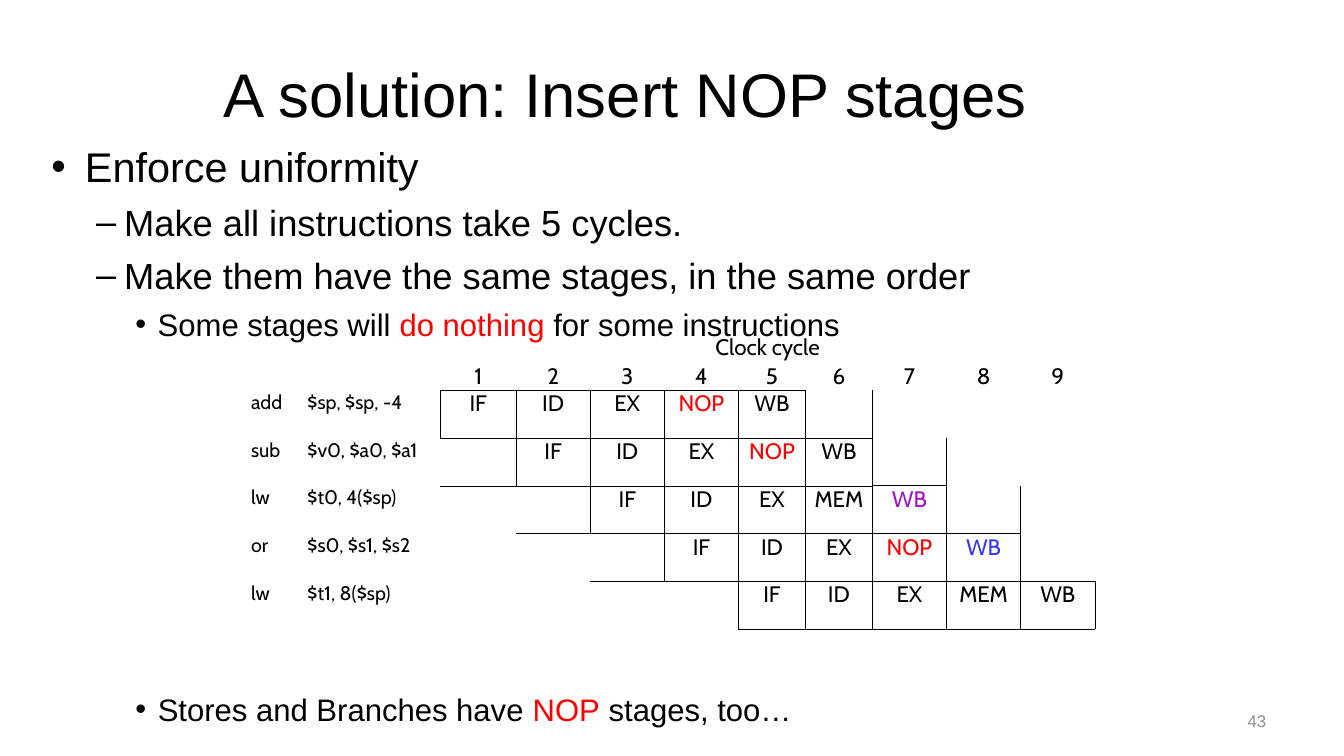
from lxml.etree import SubElement
from pptx import Presentation
from pptx.dml.color import RGBColor
from pptx.enum.text import MSO_ANCHOR, PP_ALIGN
from pptx.oxml.ns import qn
from pptx.util import Pt

COLORS = {"black": "000000", "red": "FF0000", "purple": "9E0FCC",
          "blue": "3333FF", "gray": "8C8C8C"}
NO_GRID_STYLE = "{2D5ABB26-0587-4C30-8999-92F81FD0307C}"
SIDES = {"L": (0, -1), "R": (0, 1), "T": (-1, 0), "B": (1, 0)}
LEVELS = [(24, 24, "•", 29.6), (52, 20, "–", 25.9), (76, 16, "•", 22.2)]
HEADER_ROWS = 2
STAGE_COUNT = 5
COLUMN_WIDTHS = [141.8, 54, 53, 53, 53, 47.8, 47.8, 53, 53, 53]
ROW_HEIGHTS = [21, 19.6] + [34.1] * 5
INSTRUCTIONS = [
    ("add\t$sp, $sp, -4", "NOP", "black"),
    ("sub\t$v0, $a0, $a1", "NOP", "black"),
    ("lw\t$t0, 4($sp)", "MEM", "purple"),
    ("or\t$s0, $s1, $s2", "NOP", "blue"),
    ("lw\t$t1, 8($sp)", "MEM", "black"),
]


def add_text(paragraph, text, size=16, color="black", font="Arial"):
    run = paragraph.add_run()
    run.text = text
    run.font.size = Pt(size)
    run.font.name = font
    run.font.color.rgb = RGBColor.from_string(COLORS[color])


def add_tab_stop(paragraph, position):
    tab_list = SubElement(paragraph._p.get_or_add_pPr(), qn("a:tabLst"))
    SubElement(tab_list, qn("a:tab"), pos=str(Pt(position)), algn="l")


def is_stage(row, column):
    first = row - HEADER_ROWS + 1
    return row >= HEADER_ROWS and first <= column < first + STAGE_COUNT


def add_borders(cell, row, column):
    properties = cell._tc.get_or_add_tcPr()
    for side, (down, right) in SIDES.items():
        if not (is_stage(row, column) or is_stage(row + down, column + right)):
            continue
        lower_row = row + 1 if side == "B" else row
        last_column = lower_row - HEADER_ROWS + STAGE_COUNT
        step = side in "TB" and column == last_column and lower_row > HEADER_ROWS
        line = SubElement(properties, qn(f"a:ln{side}"), w=str(Pt(1 if step else 0.5)))
        fill = SubElement(line, qn("a:solidFill"))
        SubElement(fill, qn("a:srgbClr"), val=COLORS["black"])


class SlideBuilder:
    """Places styled text, bullets and the pipeline table on a slide."""

    def __init__(self, slide):
        self.slide = slide
        self.table_font = "Cabin"

    def text_frame(self, left, top, width, height, anchor=MSO_ANCHOR.TOP):
        frame = self.slide.shapes.add_textbox(
            Pt(left), Pt(top), Pt(width), Pt(height)).text_frame
        frame.word_wrap = True
        frame.vertical_anchor = anchor
        frame.margin_left = frame.margin_right = Pt(0)
        frame.margin_top = frame.margin_bottom = Pt(0)
        return frame

    def label(self, text, left, top, width, height, alignment, **style):
        frame = self.text_frame(left, top, width, height, MSO_ANCHOR.MIDDLE)
        paragraph = frame.paragraphs[0]
        paragraph.alignment = alignment
        add_text(paragraph, text, **style)

    def bullets(self, items, left, top, width, height):
        frame = self.text_frame(left, top, width, height)
        for index, (level, parts) in enumerate(items):
            paragraph = frame.add_paragraph() if index else frame.paragraphs[0]
            margin, hanging, symbol, size = LEVELS[level]
            paragraph.level = level
            paragraph.space_before = Pt(6.5 if index else 0)
            properties = paragraph._p.get_or_add_pPr()
            properties.set("marL", str(Pt(margin)))
            properties.set("indent", str(Pt(-hanging)))
            SubElement(properties, qn("a:buFont"), typeface="Arial")
            SubElement(properties, qn("a:buChar"), char=symbol)
            for text, color in parts:
                add_text(paragraph, text, size=size, color=color)

    def cell_text(self, cell, text, size=16, color="black",
                  alignment=PP_ALIGN.CENTER):
        paragraph = cell.text_frame.paragraphs[0]
        paragraph.alignment = alignment
        if "\t" in text:
            add_tab_stop(paragraph, 40.32)
        add_text(paragraph, text, size=size, color=color, font=self.table_font)

    def pipeline(self, left, top):
        graphic_frame = self.slide.shapes.add_table(
            len(ROW_HEIGHTS), len(COLUMN_WIDTHS), Pt(left), Pt(top),
            Pt(sum(COLUMN_WIDTHS)), Pt(sum(ROW_HEIGHTS)))
        table = graphic_frame.table
        table.first_row = table.horz_banding = False
        table._tbl.tblPr.find(qn("a:tableStyleId")).text = NO_GRID_STYLE
        for column, width in zip(table.columns, COLUMN_WIDTHS):
            column.width = Pt(width)
        for row, height in zip(table.rows, ROW_HEIGHTS):
            row.height = Pt(height)
        table.cell(0, 1).merge(table.cell(0, len(COLUMN_WIDTHS) - 1))

        self.cell_text(table.cell(0, 1), "Clock cycle")
        for cycle in range(1, len(COLUMN_WIDTHS)):
            self.cell_text(table.cell(1, cycle), str(cycle))
        for index, (code, memory, write_color) in enumerate(INSTRUCTIONS):
            row = index + HEADER_ROWS
            self.cell_text(table.cell(row, 0), code, size=14, alignment=PP_ALIGN.LEFT)
            memory_color = "red" if memory == "NOP" else "black"
            stages = [("IF", "black"), ("ID", "black"), ("EX", "black"),
                      (memory, memory_color), ("WB", write_color)]
            for column, (stage, color) in enumerate(stages, index + 1):
                self.cell_text(table.cell(row, column), stage, color=color)

        for row in range(len(ROW_HEIGHTS)):
            for column in range(len(COLUMN_WIDTHS)):
                cell = table.cell(row, column)
                cell.margin_left = cell.margin_right = Pt(6.5)
                cell.margin_top = cell.margin_bottom = Pt(0)
                add_borders(cell, row, column)
                cell.fill.background()
                if not cell.text_frame.text:
                    paragraph = cell.text_frame.paragraphs[0]
                    SubElement(paragraph._p, qn("a:endParaRPr"), sz="1400")


def main():
    presentation = Presentation()
    presentation.slide_width = Pt(960)
    presentation.slide_height = Pt(540)
    slide = presentation.slides.add_slide(presentation.slide_layouts[6])
    builder = SlideBuilder(slide)
    builder.label("43", 695, 500.4, 209.5, 28.8, PP_ALIGN.RIGHT, size=12, color="gray")
    builder.label("A solution: Insert NOP stages", 48, 21.6, 798, 90,
                  PP_ALIGN.CENTER, size=44)
    builder.bullets([
        (0, [("Enforce uniformity", "black")]),
        (1, [("Make all instructions take 5 cycles.", "black")]),
        (1, [("Make them have the same stages, in the same order", "black")]),
        (2, [("Some stages will ", "black"), ("do nothing", "red"),
             (" for some instructions", "black")]),
    ], 36.7, 101, 750, 140)
    builder.bullets([
        (2, [("Stores and Branches have ", "black"), ("NOP", "red"),
             (" stages, too…", "black")]),
    ], 36.7, 493, 650, 28)
    builder.pipeline(172.8, 238.3)
    presentation.save("out.pptx")


if __name__ == "__main__":
    main()
